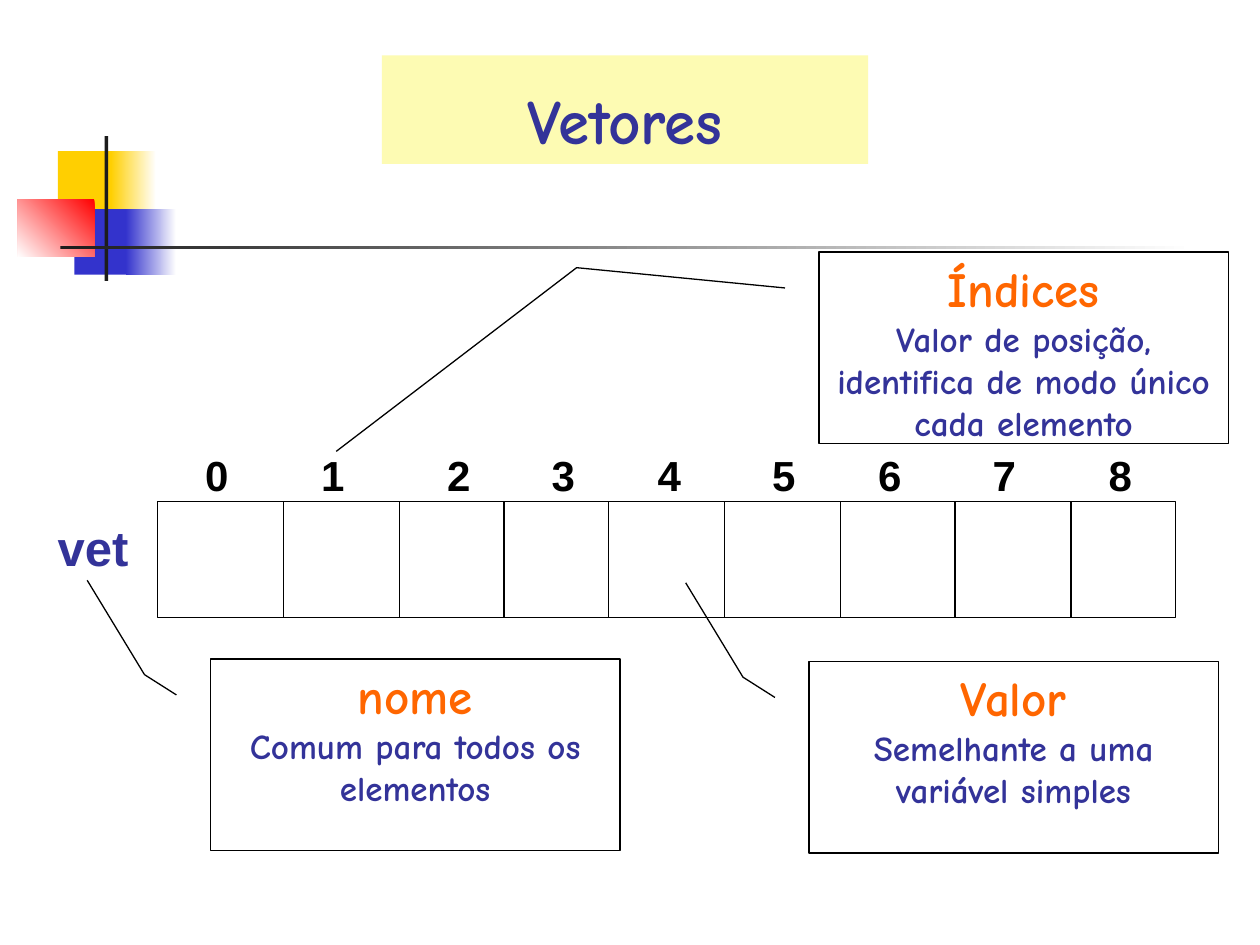
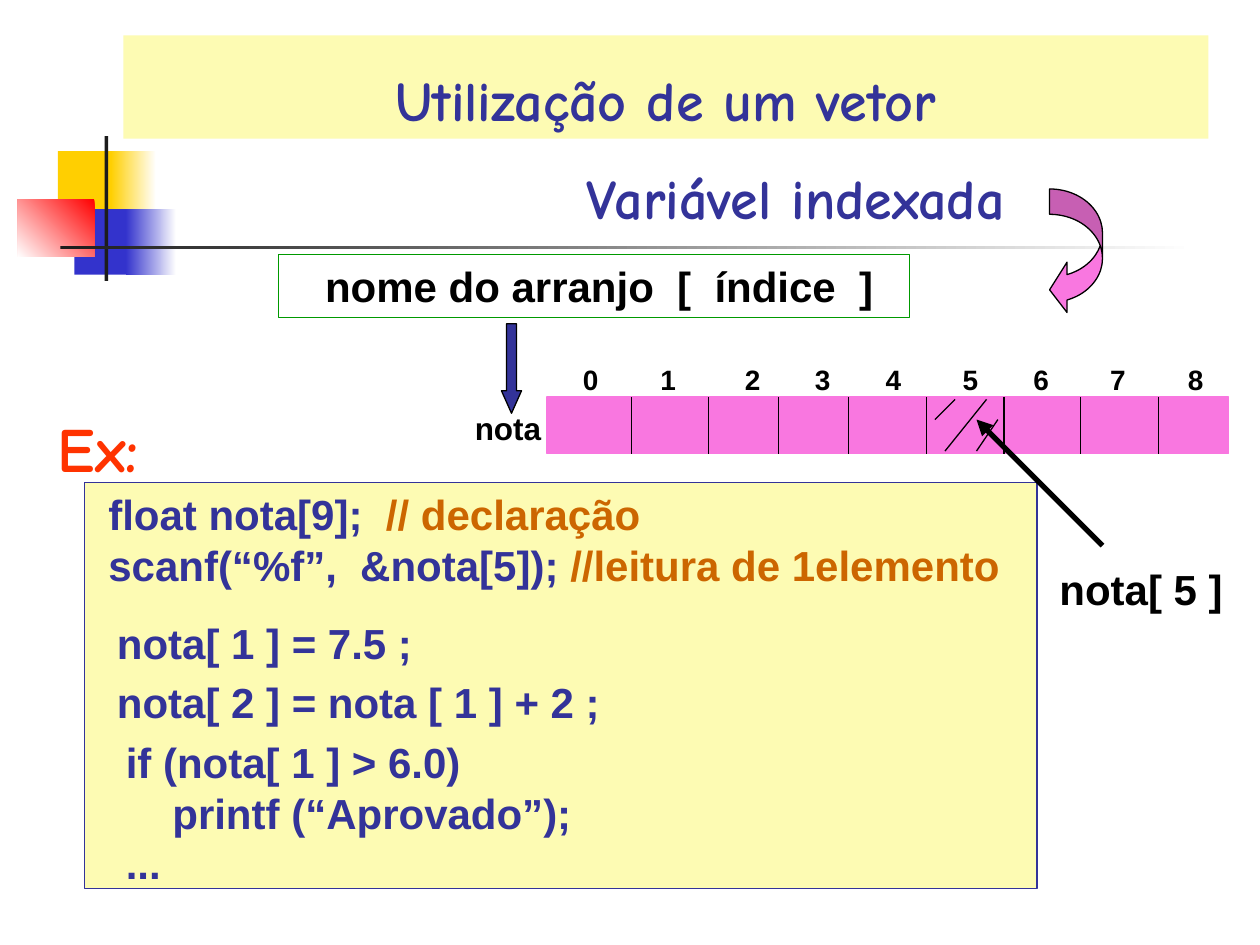
from pptx import Presentation
from pptx.util import Inches, Pt
from pptx.dml.color import RGBColor
from pptx.enum.shapes import MSO_SHAPE as Shape, MSO_CONNECTOR as Connector
from pptx.enum.text import PP_ALIGN as Align, MSO_ANCHOR as Anchor, MSO_AUTO_SIZE as AutoSize
from pptx.oxml.ns import qn
from lxml.etree import SubElement

COLORS = {
    "white": "FFFFFF", "black": "000000", "ink": "1C1C1C", "navy": "333399",
    "cream": "FDFBB3", "pink": "F977E0", "gold": "FFCF01", "blue": "3333CC",
    "red": "FF0000", "orange": "FF6600", "brown": "CC6600", "scarlet": "FF3300",
    "green": "009900",
}
SANS, COMIC = "Arial", "Comic Neue"
THIN = 0.74
ARRAY_WIDTH = 8.08
DIVIDERS = (1, 1.92, 2.75, 3.58, 4.5, 5.42, 6.33, 7.25)
INDEX_LEFTS = (0.28, 1.2, 2.2, 3.03, 3.87, 4.78, 5.62, 6.53, 7.45)


def rgb(name):
    return RGBColor.from_string(COLORS[name])


class Painter:
    """Draws styled elements on the current slide of a deck."""

    def __init__(self):
        self.deck = Presentation()
        self.deck.slide_width, self.deck.slide_height = Inches(10), Inches(7.5)
        self.layout = self.deck.slide_layouts[5]

    def new_slide(self, title, place, size):
        self.slide = self.deck.slides.add_slide(self.layout)
        self.canvas = self.slide.shapes
        box = self.canvas.title
        box.left, box.top, box.width, box.height = map(Inches, place)
        box.fill.solid()
        box.fill.fore_color.rgb = rgb("cream")
        self.set_text(box, [[(title, "navy", size)]], COMIC, Align.CENTER, anchor=Anchor.BOTTOM)

    def set_text(self, box, lines, font, align=Align.LEFT, wrap=True, anchor=Anchor.TOP, inset=0.1):
        frame = box.text_frame
        frame.word_wrap = wrap
        frame.auto_size = AutoSize.NONE
        frame.vertical_anchor = anchor
        frame.margin_left, frame.margin_right = Inches(inset), Inches(0.1)
        frame.margin_top = frame.margin_bottom = Inches(0.05)
        for number, line in enumerate(lines):
            para = frame.add_paragraph() if number else frame.paragraphs[0]
            para.alignment = align
            for words, color, size in line:
                span = para.add_run()
                span.text = words
                span.font.name, span.font.size, span.font.bold = font, Pt(size), True
                span.font.color.rgb = rgb(color)

    def shape(self, kind, place, fill=None, line=None, fade=None):
        shape = self.canvas.add_shape(kind, *map(Inches, place))
        shape.shadow.inherit = False
        if fade is not None:
            shape.fill.gradient()
            shape.fill.gradient_angle = fade
            for stop, color in zip(shape.fill.gradient_stops, (fill, "white")):
                stop.color.rgb = rgb(color)
        elif fill:
            shape.fill.solid()
            shape.fill.fore_color.rgb = rgb(fill)
        else:
            shape.fill.background()
        if line:
            shape.line.color.rgb = rgb(line)
            shape.line.width = Pt(THIN)
        else:
            shape.line.fill.background()
        return shape

    def text(self, place, words, size=24, color="black", font=SANS):
        box = self.canvas.add_textbox(*map(Inches, place))
        self.set_text(box, [[(line, color, size)] for line in words.split("\n")], font, wrap=False)
        return box

    def line(self, start, end, width=THIN, arrow=False):
        line = self.canvas.add_connector(Connector.STRAIGHT, *map(Inches, start + end))
        line.line.color.rgb = rgb("black")
        line.line.width = Pt(width)
        properties = line.element.spPr
        if arrow:
            SubElement(properties.find(qn("a:ln")), qn("a:tailEnd"), type="triangle")
        SubElement(properties, qn("a:effectLst"))

    def array(self, place, fill, line, size, label_box):
        left, top, width, height = place
        scale = width / ARRAY_WIDTH
        label_top, label_width, label_height = label_box
        self.canvas = self.slide.shapes.add_group_shape().shapes
        self.shape(Shape.RECTANGLE, place, fill, line)
        for offset in DIVIDERS:
            x = left + offset * scale
            self.line((x, top), (x, top + height))
        for index, offset in enumerate(INDEX_LEFTS):
            self.text((left + offset * scale, label_top, label_width, label_height), str(index), size)
        self.canvas = self.slide.shapes

    def callout(self, left, top, title, body, pointer):
        box = self.shape(Shape.LINE_CALLOUT_2, (left, top, 3.25, 1.52), line="black")
        for number, value in enumerate((0.188, -0.083, 0.082) + pointer):
            box.adjustments[number] = value
        self.set_text(box, [[(title, "orange", 28)], [(body, "navy", 20)]], COMIC, Align.CENTER)

    def ornament(self):
        for place, color, fade in (
            ((0.46, 1.2, 0.48, 0.52), "gold", None),
            ((0.88, 1.2, 0.36, 0.52), "gold", 0),
            ((0.59, 1.66, 0.46, 0.52), "blue", None),
            ((1, 1.66, 0.4, 0.52), "blue", 0),
            ((0.14, 1.58, 0.61, 0.46), "red", 225),
            ((0.83, 1.08, 0.03, 1.15), "ink", None),
            ((0.48, 1.95, 9, 0.03), "ink", 0),
        ):
            part = self.shape(Shape.RECTANGLE, place, color, fade=fade)
            self.layout.shapes.element.append(part.element)


def vectors(painter):
    painter.new_slide("Vetores", (3.03, 0.44, 3.86, 0.86), 36)
    painter.ornament()
    painter.array((1.25, 3.98, ARRAY_WIDTH, 0.92), "white", "black", 24, (3.52, 0.38, 0.5))
    painter.text((0.36, 4.06, 0.76, 0.57), "vet", 28, "navy")
    painter.callout(6.5, 2, "Índices", "Valor de posição, identifica de modo único cada elemento",
                    (-0.592, 1.041, -1.179))
    short_pointer = (-0.161, -0.411, -0.301)
    painter.callout(1.67, 5.23, "nome", "Comum para todos os elementos", short_pointer)
    painter.callout(6.42, 5.25, "Valor", "Semelhante a uma variável simples", short_pointer)


def vector_use(painter):
    painter.new_slide("Utilização de um vetor", (0.98, 0.28, 8.61, 0.82), 32)
    code = painter.shape(Shape.RECTANGLE, (0.67, 3.83, 7.56, 3.22), "cream", "navy")
    painter.set_text(code, [
        [("float nota[9];  ", "navy", 24), ("// declaração", "brown", 24)],
        [("scanf(“%f”,  &nota[5]); ", "navy", 24), ("//leitura de 1elemento", "brown", 24)],
    ], SANS, inset=0.19)
    painter.text((0.36, 3.2, 0.85, 0.7), "Ex:", 36, "scarlet", COMIC)
    syntax = painter.shape(Shape.RECTANGLE, (2.21, 2.02, 5.01, 0.5), "white", "green")
    painter.set_text(syntax, [[("nome do arranjo  [  índice  ]", "black", 24)]], SANS, inset=0.37)
    painter.array((4.34, 3.15, 5.41, 0.45), "pink", "pink", 16, (2.83, 0.32, 0.37))
    painter.text((3.67, 3.2, 0.73, 0.4), "nota", 18)
    painter.text((0.83, 4.85, 2.54, 0.5), "nota[ 1 ] = 7.5 ;", color="navy")
    painter.text((0.83, 5.32, 4.03, 0.5), "nota[ 2 ] = nota [ 1 ] + 2 ;", color="navy")
    branch = painter.text((0.9, 5.8, 3.73, 1.3),
                          "if (nota[ 1 ] > 6.0)\nprintf (“Aprovado”);\n...", color="navy")
    indented = branch.text_frame.paragraphs[1]
    indented._p.get_or_add_pPr().set("marL", str(Inches(0.37)))
    painter.text((8.31, 4.42, 1.49, 0.5), "nota[ 5 ]")
    painter.line((8.75, 4.33), (7.75, 3.33), 3, arrow=True)
    for start, end in (((7.58, 3.17), (7.42, 3.33)), ((7.83, 3.17), (7.5, 3.58)),
                       ((7.92, 3.33), (7.75, 3.58))):
        painter.line(start, end)
    painter.text((4.56, 1.25, 3.55, 0.64), "Variável indexada", 32, "navy", COMIC)
    curve = painter.shape(Shape.CURVED_LEFT_ARROW, (8.33, 1.5, 0.42, 1), "pink", "black")
    for number, value in enumerate((0.48, 0.95, 0.33)):
        curve.adjustments[number] = value
    arrow = painter.shape(Shape.DOWN_ARROW, (3.98, 2.57, 0.16, 0.71), "navy", "black")
    arrow.adjustments[1] = 1.12


painter = Painter()
vectors(painter)
vector_use(painter)
painter.deck.save("out.pptx")
